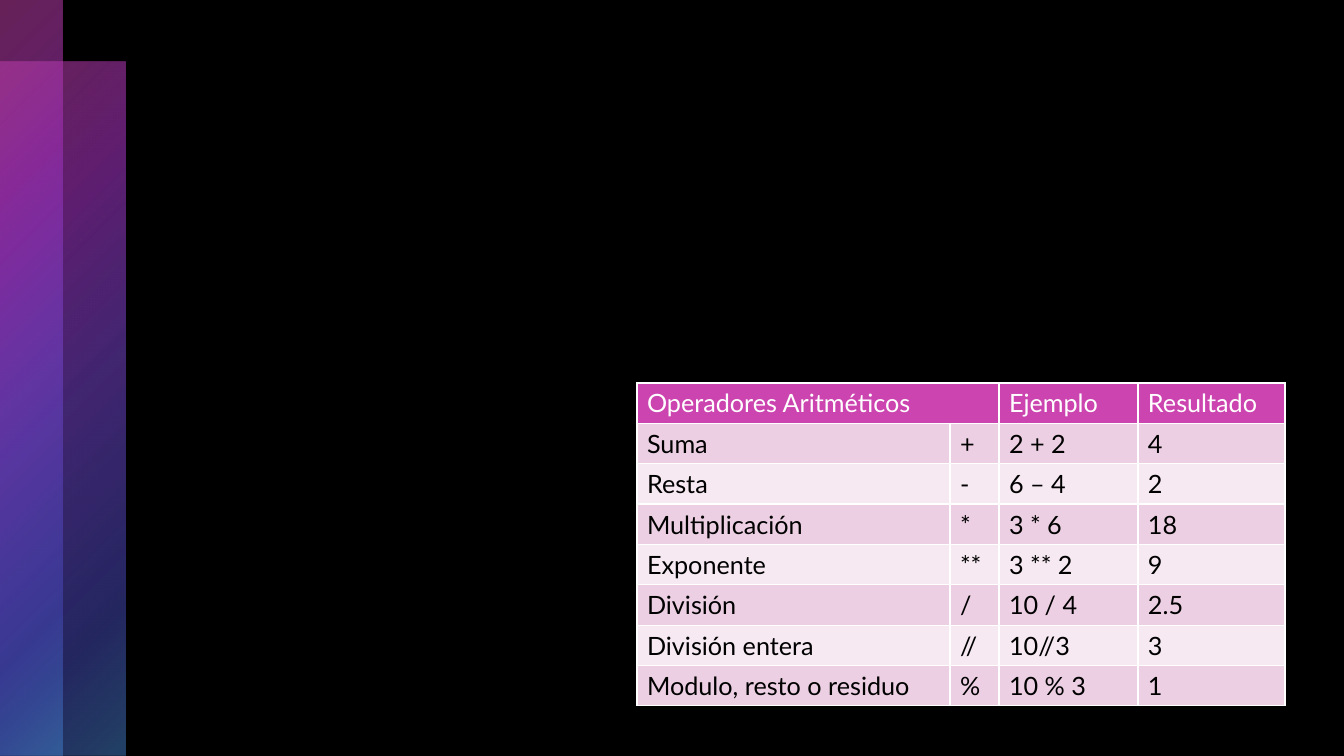
from dataclasses import dataclass

from lxml import etree
from pptx import Presentation, util as u
from pptx.dml.color import RGBColor
from pptx.enum import shapes
from pptx.oxml import ns

PX = 12700 * 5 / 7  # EMU per px, at 100.8 px to the inch


@dataclass(frozen=True)
class Theme:
    font: str = "Lato"
    size: int = 18
    background: str = "000000"
    header_fill: str = "CC44AF"
    header_text: str = "FFFFFF"
    body_text: str = "000000"
    bands: tuple = ("ECCFE3", "F6E9F2")
    border: str = "FFFFFF"
    border_width: int = 1
    # position %, colour, opacity %
    glow: tuple = ((0, "CC44AF", 50), (25, "9F32BA", 60), (50, "7844CC", 55),
                   (81, "484CC1", 50), (99, "4481CC", 50))


theme = Theme()


def px(length):
    return u.Emu(round(length * PX))


def add_xml(parent, tag, **attributes):
    return etree.SubElement(parent, ns.qn(tag), attributes)


deck = Presentation()
deck.slide_width, deck.slide_height = px(1344), px(756)
page = deck.slides.add_slide(deck.slide_layouts[6])
page.background.fill.solid()
page.background.fill.fore_color.rgb = RGBColor.from_string(theme.background)

# Overlapping translucent bands along the left edge
for top, width in ((62, 126), (0, 63)):
    band = page.shapes.add_shape(
        shapes.MSO_SHAPE.RECTANGLE, 0, px(top), px(width), px(756 - top))
    band.shadow.inherit = False
    band.line.fill.background()
    band.fill.gradient()
    gradient = band.fill._xPr.find(ns.qn("a:gradFill"))
    for child in list(gradient):
        gradient.remove(child)
    stops = add_xml(gradient, "a:gsLst")
    for position, colour, opacity in theme.glow:
        stop = add_xml(stops, "a:gs", pos=str(position * 1000))
        tint = add_xml(stop, "a:srgbClr", val=colour)
        add_xml(tint, "a:alpha", val=str(opacity * 1000))
    radial = add_xml(gradient, "a:path", path="circle")
    add_xml(radial, "a:fillToRect", r="100000", b="100000")

# Table of arithmetic operators
rows = (
    ("Operadores Aritméticos", "", "Ejemplo", "Resultado"),
    ("Suma", "+", "2 + 2", "4"),
    ("Resta", "-", "6 – 4", "2"),
    ("Multiplicación", "*", "3 * 6", "18"),
    ("Exponente", "**", "3 ** 2", "9"),
    ("División", "/", "10 / 4", "2.5"),
    ("División entera", "//", "10//3", "3"),
    ("Modulo, resto o residuo", "%", "10 % 3", "1"),
)
column_widths = (313, 49, 139, 147)
row_height = 40

operators = page.shapes.add_table(
    len(rows), len(column_widths), px(637), px(383),
    px(sum(column_widths)), px(row_height * len(rows))).table
operators.first_row = operators.horz_banding = False
for column, width in zip(operators.columns, column_widths):
    column.width = px(width)
operators.cell(0, 0).merge(operators.cell(0, 1))

for r, values in enumerate(rows):
    operators.rows[r].height = px(row_height)
    is_header = r == 0
    fill = theme.header_fill if is_header else theme.bands[(r - 1) % 2]
    ink = theme.header_text if is_header else theme.body_text
    for c, value in enumerate(values):
        cell = operators.cell(r, c)
        properties = cell._tc.get_or_add_tcPr()
        for side in ("a:lnL", "a:lnR", "a:lnT", "a:lnB"):
            edge = add_xml(properties, side, w=str(u.Pt(theme.border_width)))
            add_xml(add_xml(edge, "a:solidFill"), "a:srgbClr", val=theme.border)
        cell.fill.solid()
        cell.fill.fore_color.rgb = RGBColor.from_string(fill)
        if value:
            span = cell.text_frame.paragraphs[0].add_run()
            span.text = value
            span.font.name = theme.font
            span.font.size = u.Pt(theme.size)
            span.font.color.rgb = RGBColor.from_string(ink)

deck.save("out.pptx")
